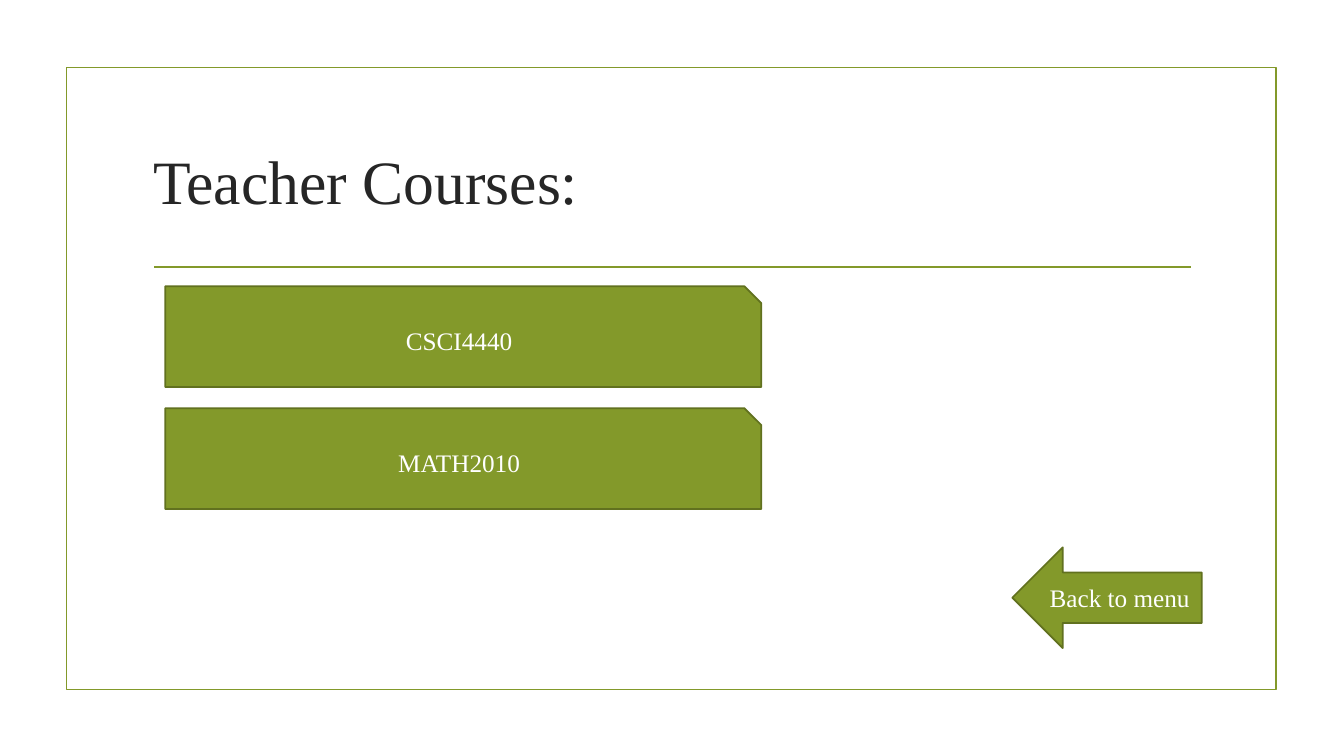
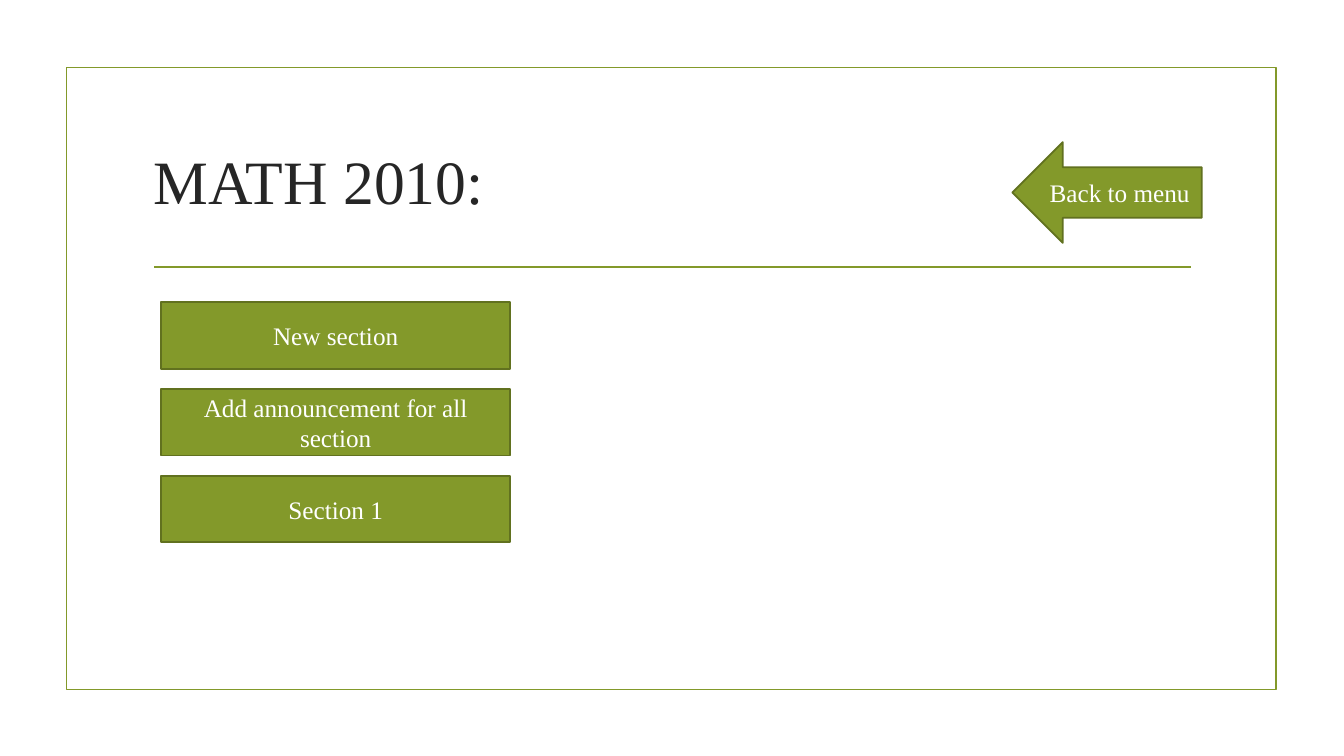
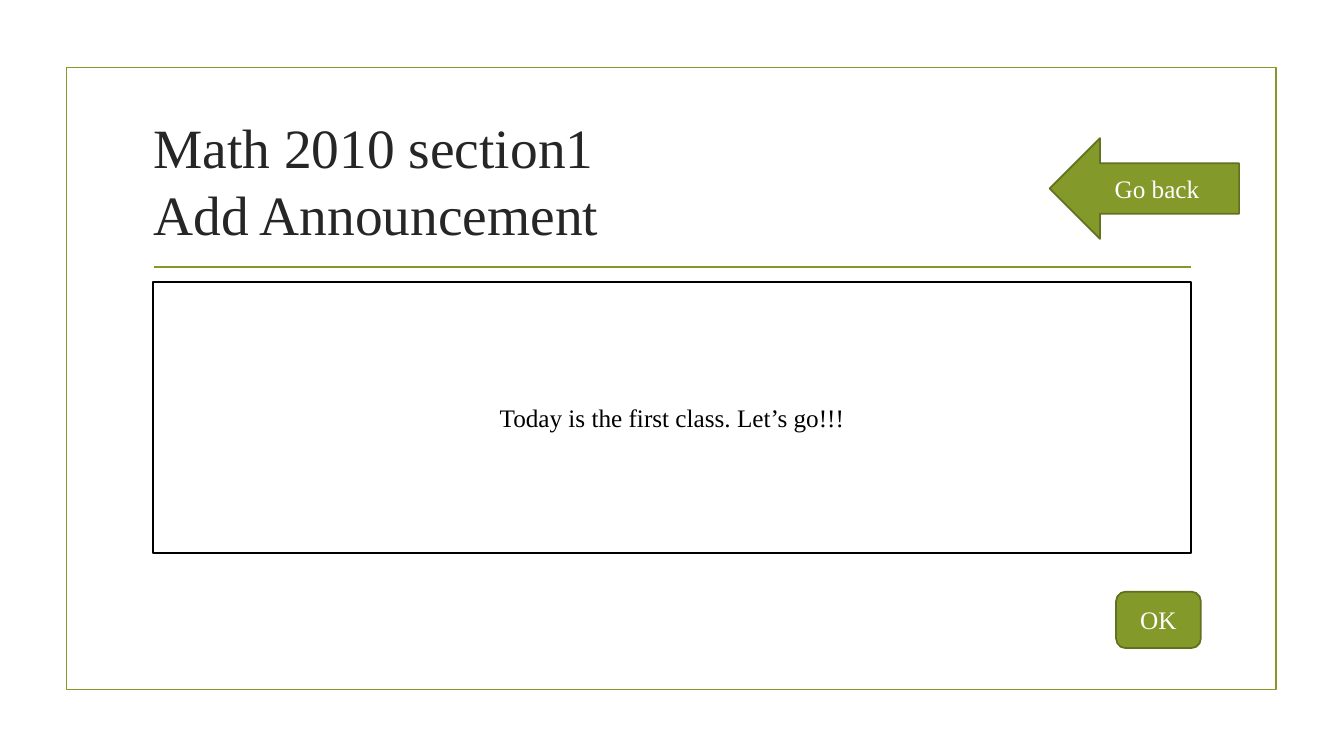
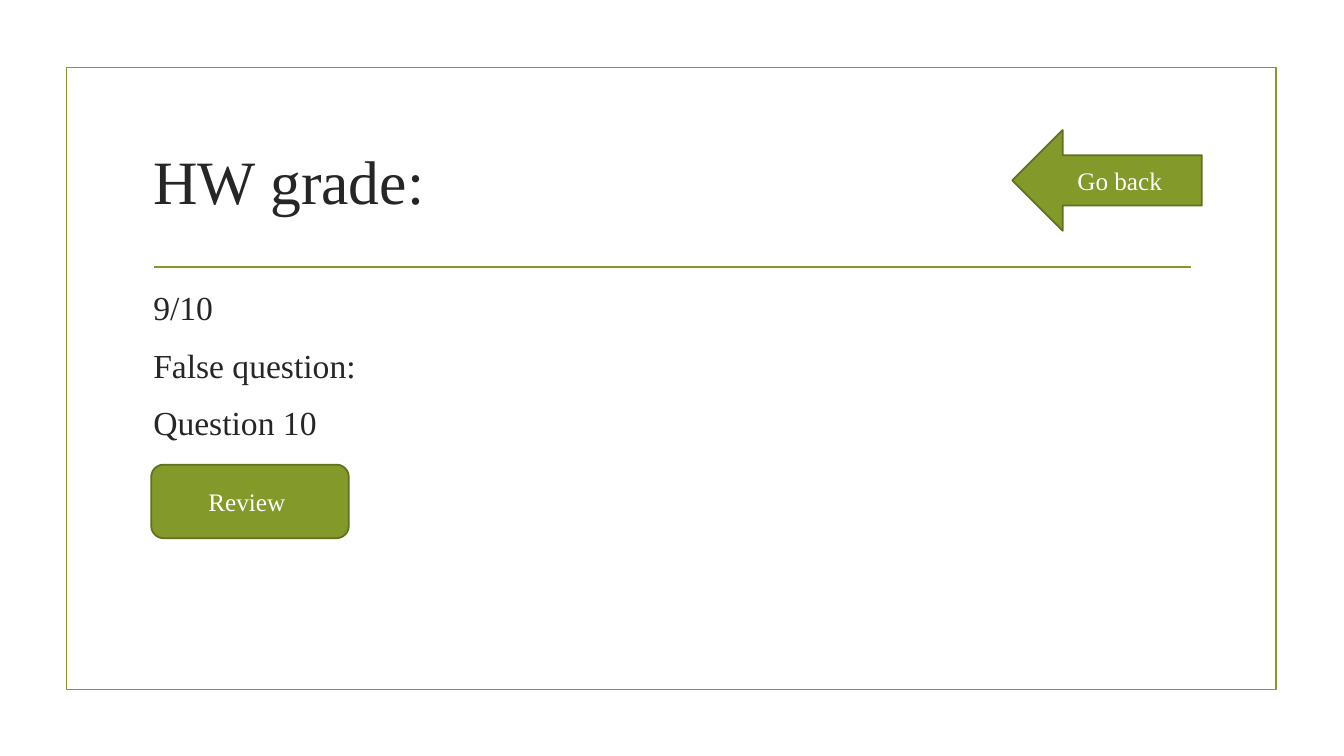
from dataclasses import dataclass

from lxml import etree
from pptx import Presentation
from pptx.dml.color import RGBColor
from pptx.enum.shapes import MSO_CONNECTOR, MSO_SHAPE as Shape
from pptx.enum.text import MSO_ANCHOR, MSO_AUTO_SIZE, PP_ALIGN
from pptx.oxml.ns import qn
from pptx.util import Emu, Pt

EMU_PER_PX = 9144  # 100 px to the inch
FONT = "Times New Roman"
LINE_WIDTH = Pt(1.25)
TITLE_ONLY, TITLE_AND_BODY = 5, 1
COLORS = {
    "olive": "83992A",
    "dark_olive": "61711F",
    "text": "262626",
    "white": "FFFFFF",
    "black": "000000",
}


@dataclass(frozen=True)
class Box:
    left: int
    top: int
    width: int
    height: int

    def emu(self) -> tuple:
        return tuple(px(n) for n in (self.left, self.top, self.width, self.height))


@dataclass(frozen=True)
class Button:
    text: str
    box: Box
    kind: Shape = Shape.RECTANGLE
    fill: str = "olive"
    line: str = "dark_olive"
    color: str = "white"


@dataclass(frozen=True)
class Page:
    title: str
    buttons: list
    body: tuple = ()
    title_size: float = 44


FRAME = Box(66, 67, 1200, 617)
TITLE = Box(142, 107, 1050, 143)
BODY = Box(142, 280, 1050, 363)
RULE_LEFT, RULE_RIGHT, RULE_TOP = 153, 1181, 265


def px(length: int) -> Emu:
    return Emu(length * EMU_PER_PX)


def rgb(name: str) -> RGBColor:
    return RGBColor.from_string(COLORS[name])


def set_font(paragraph, size: float, color: str) -> None:
    font = paragraph.font
    font.name, font.size = FONT, Pt(size)
    font.color.rgb = rgb(color)


def set_line(item, color: str) -> None:
    item.line.color.rgb = rgb(color)
    item.line.width = LINE_WIDTH


def place(shape, box: Box) -> None:
    shape.left, shape.top, shape.width, shape.height = box.emu()


def stack(labels: list, first: Box, step: int, kind: Shape) -> list:
    """Equal buttons, one below the other."""
    return [
        Button(label, Box(first.left, first.top + row * step, first.width, first.height), kind)
        for row, label in enumerate(labels)
    ]


def back_arrow(text: str, left: int, top: int) -> Button:
    return Button(text, Box(left, top, 188, 100), Shape.LEFT_ARROW)


def add_frame(slide) -> None:
    frame = slide.shapes.add_shape(Shape.RECTANGLE, *FRAME.emu())
    frame.shadow.inherit = False
    frame.fill.background()
    set_line(frame, "olive")

    rule = slide.shapes.add_connector(
        MSO_CONNECTOR.STRAIGHT, px(RULE_LEFT), px(RULE_TOP), px(RULE_RIGHT), px(RULE_TOP))
    set_line(rule, "olive")
    etree.SubElement(rule._element.spPr, qn("a:effectLst"))


def add_title(slide, text: str, size: float) -> None:
    title = slide.shapes.title
    place(title, TITLE)
    frame = title.text_frame
    frame.text = text
    frame.auto_size = MSO_AUTO_SIZE.NONE
    frame.vertical_anchor = MSO_ANCHOR.MIDDLE
    paragraph = frame.paragraphs[0]
    paragraph.alignment = PP_ALIGN.LEFT
    set_font(paragraph, size, "text")


def add_body(slide, lines: tuple) -> None:
    body = slide.placeholders[1]
    place(body, BODY)
    frame = body.text_frame
    frame.text = "\n".join(lines)
    frame.auto_size = MSO_AUTO_SIZE.NONE
    for index, paragraph in enumerate(frame.paragraphs):
        properties = paragraph._p.get_or_add_pPr()
        properties.set("marL", "0")
        properties.set("indent", "0")
        etree.SubElement(properties, qn("a:buNone"))
        paragraph.space_before = Pt(6 if index else 0)
        paragraph.space_after = Pt(6)
        set_font(paragraph, 24, "text")


def add_button(slide, button: Button) -> None:
    shape = slide.shapes.add_shape(button.kind, *button.box.emu())
    shape.shadow.inherit = False
    shape.fill.solid()
    shape.fill.fore_color.rgb = rgb(button.fill)
    set_line(shape, button.line)
    frame = shape.text_frame
    frame.text = button.text
    frame.word_wrap = True
    frame.vertical_anchor = MSO_ANCHOR.MIDDLE
    paragraph = frame.paragraphs[0]
    paragraph.alignment = PP_ALIGN.CENTER
    set_font(paragraph, 18, button.color)


def add_page(presentation, page: Page) -> None:
    layout = presentation.slide_layouts[TITLE_AND_BODY if page.body else TITLE_ONLY]
    slide = presentation.slides.add_slide(layout)
    add_frame(slide)
    add_title(slide, page.title, page.title_size)
    if page.body:
        add_body(slide, page.body)
    for button in page.buttons:
        add_button(slide, button)


PAGES = [
    # Course list
    Page("Teacher Courses:", [
        *stack(["CSCI4440", "MATH2010"], Box(164, 284, 591, 100), 121, Shape.SNIP_1_RECTANGLE),
        back_arrow("Back to menu", 1004, 543),
    ]),
    # Course menu
    Page("MATH 2010:", [
        back_arrow("Back to menu", 1004, 141),
        *stack(["New section", "Add announcement for all section", "Section 1"],
               Box(160, 300, 346, 66), 86, Shape.RECTANGLE),
    ]),
    # Announcement form
    Page("Math 2010 section1\vAdd Announcement", [
        back_arrow("Go back", 1041, 137),
        Button("Today is the first class. Let’s go!!!", Box(152, 280, 1029, 269),
               fill="white", line="black", color="black"),
        Button("OK", Box(1107, 587, 84, 56), Shape.ROUNDED_RECTANGLE),
    ], title_size=39.6),
    # Homework result
    Page("HW grade:", [
        back_arrow("Go back", 1004, 129),
        Button("Review ", Box(150, 461, 196, 73), Shape.ROUNDED_RECTANGLE),
    ], body=("9/10", "False question:", "Question 10")),
]


def main() -> None:
    presentation = Presentation()
    presentation.slide_width, presentation.slide_height = px(1333), px(750)
    for page in PAGES:
        add_page(presentation, page)
    presentation.save("out.pptx")


if __name__ == "__main__":
    main()
